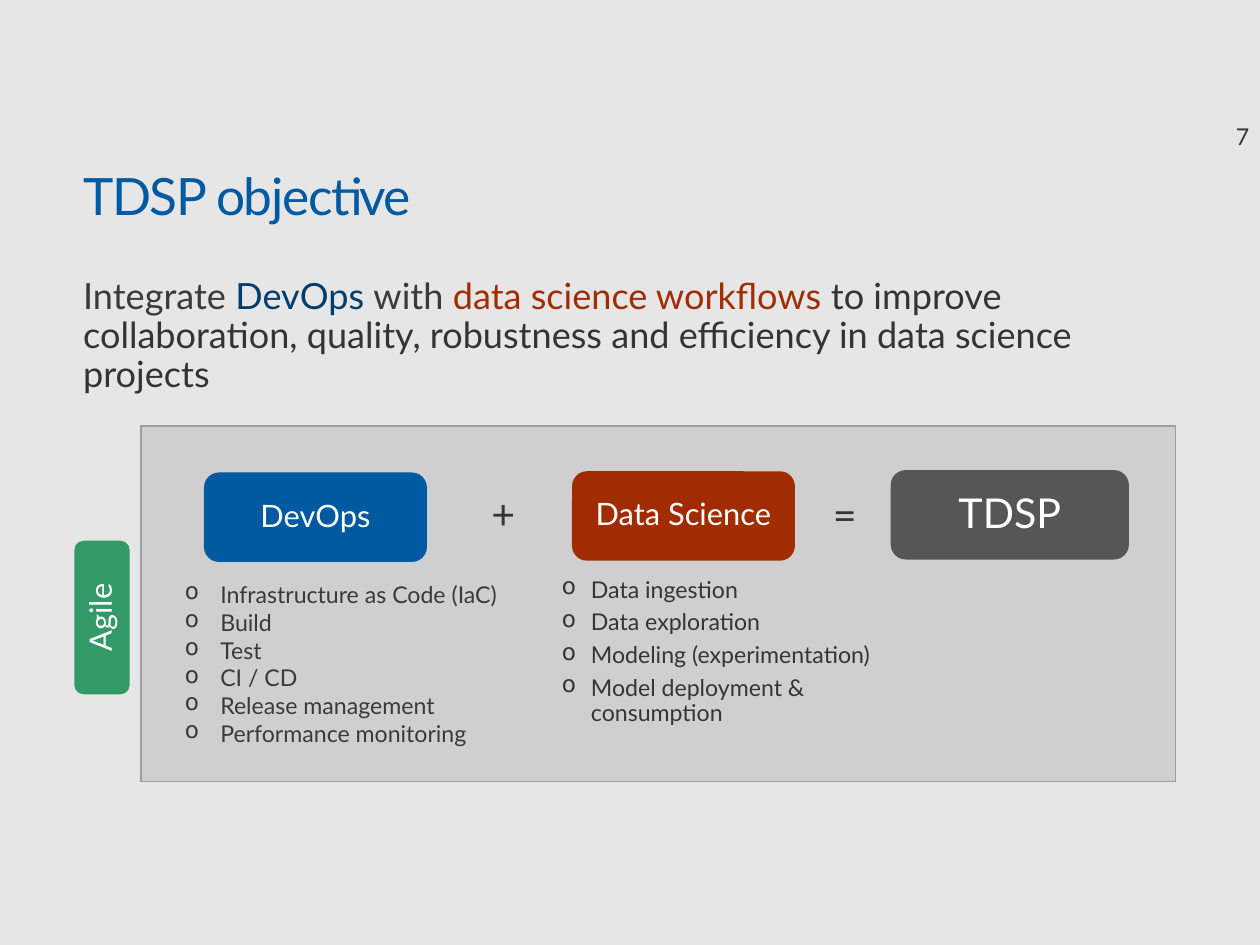
from dataclasses import dataclass

from lxml import etree
from pptx import Presentation
from pptx.dml.color import RGBColor
from pptx.enum.shapes import MSO_SHAPE
from pptx.enum.text import MSO_ANCHOR, MSO_AUTO_SIZE, PP_ALIGN
from pptx.oxml.ns import qn
from pptx.util import Pt

RECTANGLE = MSO_SHAPE.RECTANGLE
ROUNDED = MSO_SHAPE.ROUNDED_RECTANGLE
LEFT, CENTER = PP_ALIGN.LEFT, PP_ALIGN.CENTER
TOP, MIDDLE = MSO_ANCHOR.TOP, MSO_ANCHOR.MIDDLE
FIT_SHAPE, FIXED = MSO_AUTO_SIZE.SHAPE_TO_FIT_TEXT, MSO_AUTO_SIZE.NONE

FONT = "Lato"
BLUE, RUST, INK, DARK, WHITE = "005AA1", "A22C01", "353535", "3A3A3A", "FFFFFF"
WIDE_INSETS = (10.8, 8.64)
PLACEHOLDER_INSETS = (11.5, 7.2)
DEFAULT_INSETS = (7.2, 3.6)


@dataclass(frozen=True)
class Area:
    left: float
    top: float
    width: float
    height: float

    def lengths(self):
        return Pt(self.left), Pt(self.top), Pt(self.width), Pt(self.height)


@dataclass(frozen=True)
class Span:
    text: str
    color: str


@dataclass(frozen=True)
class Block:
    label: str
    area: Area
    fill: str
    size: float = 17.6
    rotation: float = 0


@dataclass(frozen=True)
class BulletList:
    items: tuple[str, ...]
    area: Area
    color: str
    indent: float
    insets: tuple[float, float]
    line_spacing: float
    space_after: float


BLOCKS = (
    Block("DevOps", Area(116.6, 270, 127.4, 51.1), BLUE),
    Block("Data Science", Area(326.9, 269.3, 127.4, 51.1), RUST),
    Block("TDSP", Area(509, 268.6, 136.1, 51.1), "565656", size=23.5),
    Block("Agile", Area(14.4, 337, 87.8, 31.7), "339966", rotation=270),
)

SIGNS = (
    ("+", Area(270, 273.6, 37.4, 42.5)),
    ("=", Area(465.1, 274.3, 37.4, 42.5)),
)

BULLET_LISTS = (
    BulletList(
        ("Data ingestion", "Data exploration", "Modeling (experimentation)",
         "Model deployment & consumption"),
        Area(310.3, 321.8, 198.7, 101.5), INK, indent=16.6,
        insets=WIDE_INSETS, line_spacing=0.9, space_after=4.4),
    BulletList(
        ("Infrastructure as Code (IaC)", "Build", "Test", "CI / CD",
         "Release management", "Performance monitoring"),
        Area(98.6, 328.3, 200.2, 103.7), DARK, indent=20.2,
        insets=DEFAULT_INSETS, line_spacing=1.0, space_after=0),
)

OBJECTIVE = (
    Span("Integrate ", DARK),
    Span("DevOps ", "003C6C"),
    Span("with ", DARK),
    Span("data science workflows ", RUST),
    Span("to improve collaboration, quality, robustness and efficiency "
         "in data science projects", "343434"),
)


def color_of(hex_code: str) -> RGBColor:
    return RGBColor.from_string(hex_code)


def add_bullet(para, indent: float) -> None:
    properties = para._p.get_or_add_pPr()
    properties.set("marL", str(Pt(indent)))
    properties.set("indent", str(-Pt(indent)))
    etree.SubElement(properties, qn("a:buChar")).set("char", "o")


def write_text(shape, paragraphs, *, size: float, insets=WIDE_INSETS,
               align=LEFT, anchor=TOP, wrap=True, fit=FIXED,
               line_spacing=0.9, space_after=0.0, indent=0.0,
               tracking=0.0) -> None:
    """Fill a shape with paragraphs, each one a sequence of spans."""
    frame = shape.text_frame
    frame.word_wrap = wrap
    frame.auto_size = fit
    frame.vertical_anchor = anchor
    frame.margin_left = frame.margin_right = Pt(insets[0])
    frame.margin_top = frame.margin_bottom = Pt(insets[1])
    for index, spans in enumerate(paragraphs):
        para = frame.add_paragraph() if index else frame.paragraphs[0]
        if indent:
            add_bullet(para, indent)
        para.alignment = align
        para.line_spacing = line_spacing
        para.space_before = Pt(0)
        para.space_after = Pt(space_after)
        for span in spans:
            run = para.add_run()
            run.text = span.text
            run.font.name = FONT
            run.font.size = Pt(size)
            run.font.color.rgb = color_of(span.color)
            if tracking:
                run._r.get_or_add_rPr().set("spc", str(round(tracking * 100)))


def add_text(page, area: Area, paragraphs, **text_format) -> None:
    box = page.shapes.add_textbox(*area.lengths())
    write_text(box, paragraphs, **text_format)


def add_filled_shape(page, kind, area: Area, fill: str):
    shape = page.shapes.add_shape(kind, *area.lengths())
    shape.shadow.inherit = False
    shape.fill.solid()
    shape.fill.fore_color.rgb = color_of(fill)
    shape.line.fill.background()
    return shape


def add_panel(page) -> None:
    panel = add_filled_shape(page, RECTANGLE, Area(80.6, 243.4, 591.1, 203), "CFCFCF")
    panel.line.color.rgb = color_of("9E9E9E")
    panel.line.width = Pt(0.75)


def add_block(page, block: Block) -> None:
    shape = add_filled_shape(page, ROUNDED, block.area, block.fill)
    shape.rotation = block.rotation
    write_text(shape, [[Span(block.label, WHITE)]], size=block.size,
               align=CENTER, anchor=MIDDLE)


def add_bullet_list(page, bullets: BulletList) -> None:
    add_text(page, bullets.area,
             [[Span(item, bullets.color)] for item in bullets.items],
             size=13.2, insets=bullets.insets, indent=bullets.indent, fit=FIT_SHAPE,
             line_spacing=bullets.line_spacing, space_after=bullets.space_after)


def main() -> None:
    deck = Presentation()
    deck.slide_width, deck.slide_height = Pt(720), Pt(540)
    page = deck.slides.add_slide(deck.slide_layouts[6])
    page.background.fill.solid()
    page.background.fill.fore_color.rgb = color_of("E6E6E6")

    add_text(page, Area(36, 90.7, 688.3, 53.3), [[Span("TDSP objective", BLUE)]],
             size=29.4, insets=PLACEHOLDER_INSETS, tracking=-0.8)
    add_text(page, Area(36, 151.9, 648.7, 82.1), [OBJECTIVE],
             size=20.6, insets=PLACEHOLDER_INSETS, fit=FIT_SHAPE)
    add_text(page, Area(695.5, 64.8, 28.8, 31.7), [[Span("7", INK)]],
             size=13.2, wrap=False, fit=FIT_SHAPE, space_after=4.4)

    add_panel(page)
    for block in BLOCKS:
        add_block(page, block)
    for sign, area in SIGNS:
        add_text(page, area, [[Span(sign, INK)]], size=23.5,
                 wrap=False, fit=FIT_SHAPE, space_after=4.4)
    for bullets in BULLET_LISTS:
        add_bullet_list(page, bullets)

    deck.save("out.pptx")


if __name__ == "__main__":
    main()
